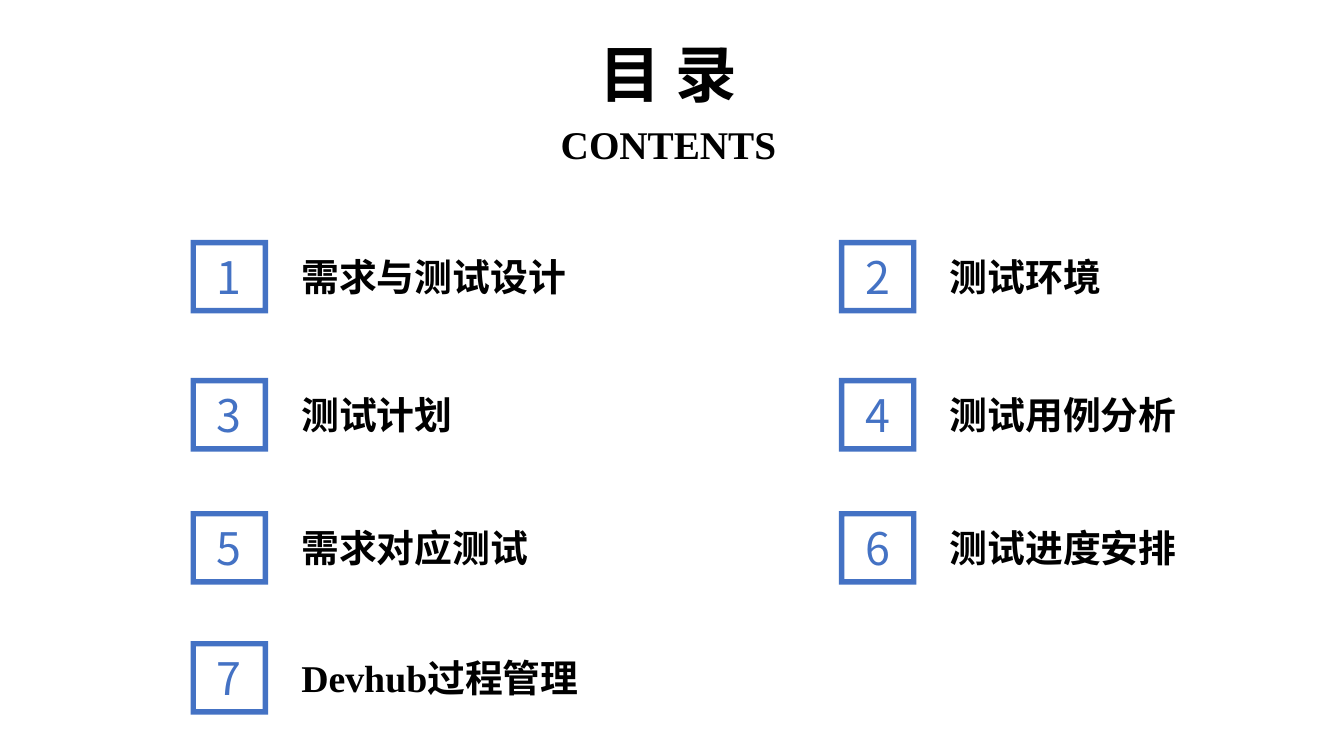
import pptx
import pptx.util
import pptx.dml.color
import pptx.enum.shapes
import pptx.enum.text
import pptx.oxml
import pptx.oxml.ns
from dataclasses import dataclass
from pptx.util import Inches


@dataclass(frozen=True)
class Theme:
    accent: str = "4472C4"
    ink: str = "000000"
    chinese: str = "Noto Sans CJK SC"
    latin: str = "Times New Roman"
    title: int = 44
    subtitle: int = 28
    number: int = 32
    entry: int = 27


THEME = Theme()
ENTRIES = ["需求与测试设计", "测试环境", "测试计划", "测试用例分析",
           "需求对应测试", "测试进度安排", "Devhub过程管理"]
COLUMN_LEFTS = [1.89, 8.32]
ROW_TOPS = [2.38, 3.75, 5.07, 6.36]


def write(shape, text, *, size, color=THEME.ink, bold=True,
          latin=THEME.chinese, align="LEFT"):
    """Fill a shape with one formatted paragraph."""
    frame = shape.text_frame
    frame.word_wrap = True
    para = frame.paragraphs[0]
    para.alignment = getattr(pptx.enum.text.PP_ALIGN, align)
    span = para.add_run()
    span.text = text
    span.font.size = pptx.util.Pt(size)
    span.font.bold = bold
    span.font.name = latin
    span.font.color.rgb = pptx.dml.color.RGBColor.from_string(color)
    # Chinese characters take the East Asian typeface
    east_asian = pptx.oxml.parse_xml(
        f'<a:ea {pptx.oxml.ns.nsdecls("a")} typeface="{THEME.chinese}"/>')
    span.font._element.find(pptx.oxml.ns.qn("a:latin")).addnext(east_asian)


def add_text(page, text, left, top, width, height, **style):
    box = page.shapes.add_textbox(
        Inches(left), Inches(top), Inches(width), Inches(height))
    write(box, text, **style)
    box.text_frame.auto_size = pptx.enum.text.MSO_AUTO_SIZE.SHAPE_TO_FIT_TEXT


def add_heading(page, left, top, width):
    """Chinese title over its English subtitle."""
    add_text(page, "目 录", left, top, width, 0.84,
             size=THEME.title, align="CENTER")
    add_text(page, "CONTENTS", left, top + 0.83, width, 0.57,
             size=THEME.subtitle, latin=THEME.latin, align="CENTER")


def add_entry(page, number, text, left, top):
    """Framed number with its chapter name to the right."""
    badge = page.shapes.add_shape(
        pptx.enum.shapes.MSO_SHAPE.FRAME,
        Inches(left), Inches(top), Inches(0.77), Inches(0.73))
    badge.adjustments[0] = 0.074
    badge.shadow.inherit = False
    badge.fill.solid()
    badge.fill.fore_color.rgb = pptx.dml.color.RGBColor.from_string(THEME.accent)
    badge.line.fill.background()
    badge.text_frame.vertical_anchor = pptx.enum.text.MSO_ANCHOR.MIDDLE
    write(badge, str(number), size=THEME.number, color=THEME.accent,
          bold=False, align="CENTER")
    latin = THEME.latin if text[0].isascii() else THEME.chinese
    add_text(page, text, left + 1, top + 0.09, 3.2, 0.56,
             size=THEME.entry, latin=latin)


def add_contents(page):
    """Entries run across the two columns, row by row."""
    for index, text in enumerate(ENTRIES):
        row, column = divmod(index, len(COLUMN_LEFTS))
        add_entry(page, index + 1, text, COLUMN_LEFTS[column], ROW_TOPS[row])


def main():
    deck = pptx.Presentation()
    deck.slide_width, deck.slide_height = Inches(13.33), Inches(7.5)
    page = deck.slides.add_slide(deck.slide_layouts[6])
    add_heading(page, 5.43, 0.31, 2.4)
    add_contents(page)
    deck.save("out.pptx")


if __name__ == "__main__":
    main()
